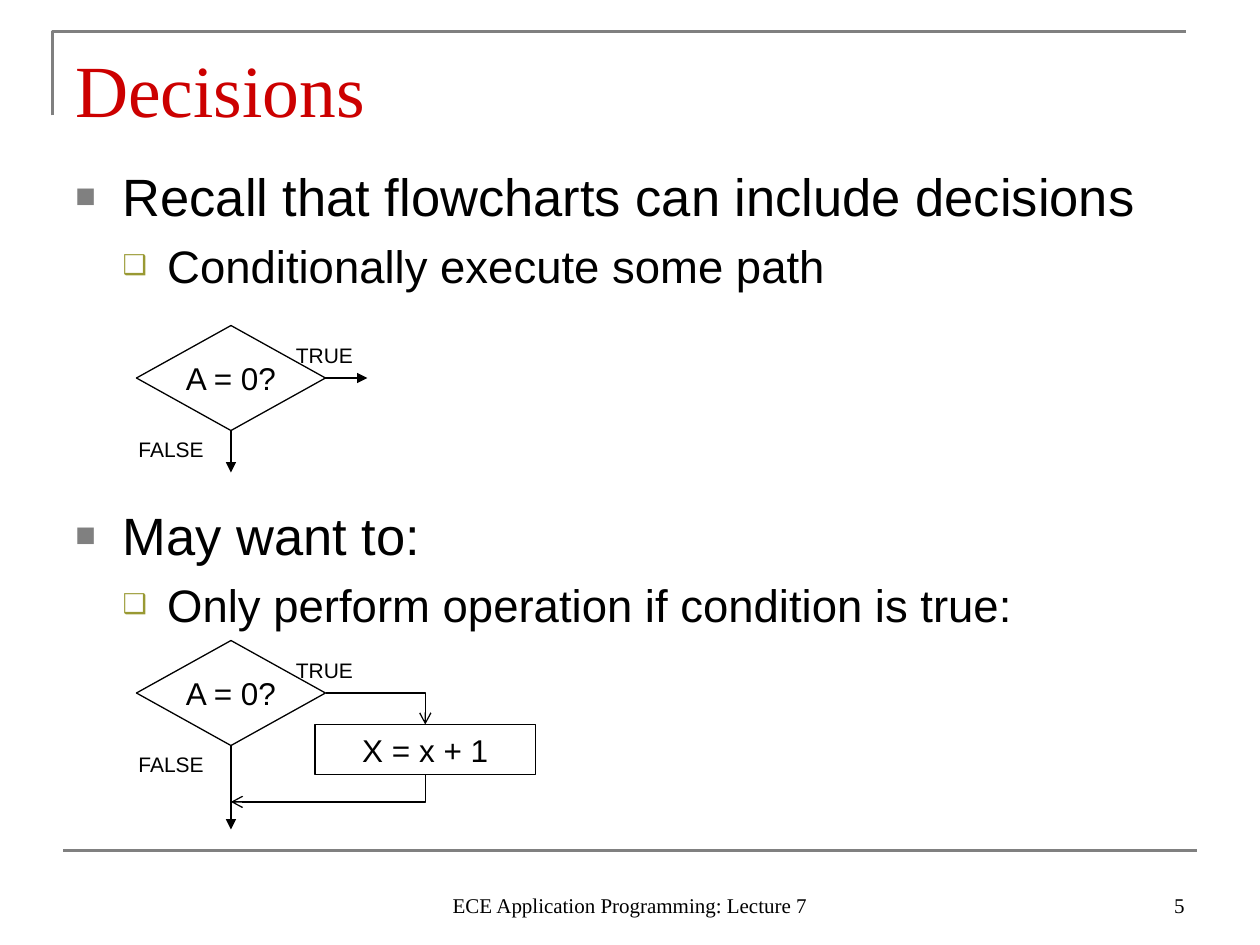
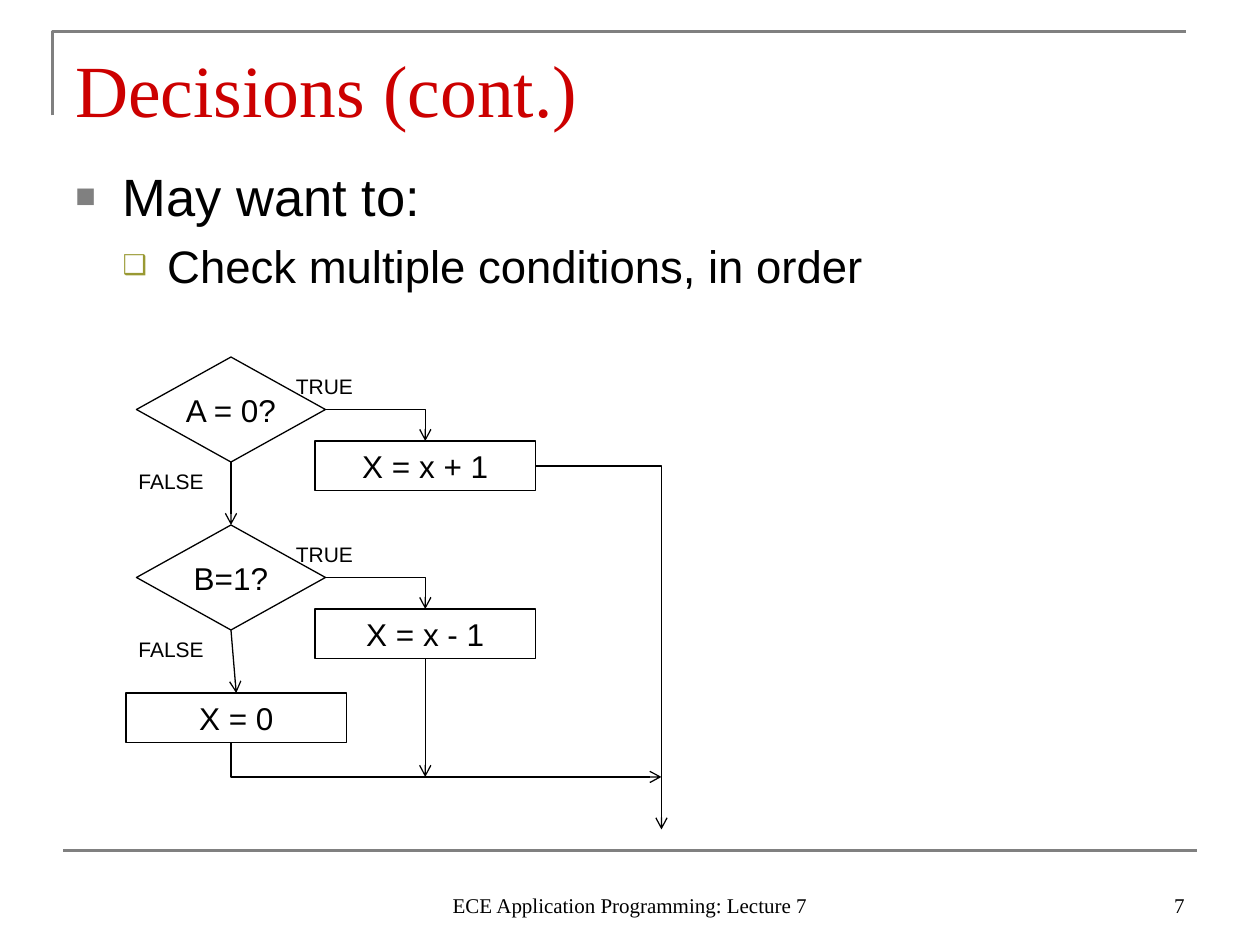
from lxml import etree
from pptx import Presentation
from pptx.dml.color import RGBColor
from pptx.enum.shapes import MSO_CONNECTOR as LINK, MSO_SHAPE as SHAPE
from pptx.enum.text import MSO_ANCHOR as ANCHOR, PP_ALIGN as ALIGN
from pptx.oxml.ns import qn
from pptx.util import Emu, Pt

SCALE = 9525  # EMU per px, 96 px to the inch
BLACK = RGBColor(0x00, 0x00, 0x00)
GRAY = RGBColor(0x80, 0x80, 0x80)
RED = RGBColor(0xCC, 0x00, 0x00)
OLIVE = RGBColor(0x99, 0x99, 0x33)
SANS, SERIF = "Arial", "Times New Roman"
FOOTER = "ECE Application Programming: Lecture 7"

# Per outline level: text size, left indent, hanging indent, space before, bullet
LEVELS = [
    (30, 36, 36, 7.5, "■", GRAY, 65),
    (26, 70, 34, 6.5, "❑", OLIVE, 60),
]
TOP, LEFT, BOTTOM, RIGHT = range(4)
DECISION_X, DECISION_W, DECISION_H = 104, 144, 80
DECISION_MID = DECISION_X + DECISION_W // 2
PROCESS_W, PROCESS_H = 168, 38
BRANCH_X = 240
BRANCH_MID = BRANCH_X + PROCESS_W // 2


def px(length):
    return Emu(length * SCALE)


def style_text(para, size, font=SANS, color=BLACK):
    para.font.size = Pt(size)
    para.font.name = font
    para.font.color.rgb = color
    for span in para.runs:
        span.font.size = Pt(size)
        span.font.name = font
        span.font.color.rgb = color


def add_text(page, text, place, size, font=SANS, color=BLACK,
             align=ALIGN.LEFT, anchor=ANCHOR.TOP):
    frame = page.shapes.add_textbox(*map(px, place)).text_frame
    frame.word_wrap = True
    frame.vertical_anchor = anchor
    frame.text = text
    frame.paragraphs[0].alignment = align
    style_text(frame.paragraphs[0], size, font, color)


def add_bullet(para, hanging, left, mark, color, percent):
    props = para._p.get_or_add_pPr()
    props.set("marL", str(px(left)))
    props.set("indent", str(-px(hanging)))
    bullet_color = etree.SubElement(props, qn("a:buClr"))
    etree.SubElement(bullet_color, qn("a:srgbClr"), val=str(color))
    etree.SubElement(props, qn("a:buSzPct"), val=str(percent * 1000))
    etree.SubElement(props, qn("a:buFont"), typeface=SANS)
    etree.SubElement(props, qn("a:buChar"), char=mark)


def add_outline(page, items):
    """Bulleted body; each item is (level, text, extra points of space above)."""
    frame = page.shapes.add_textbox(px(48), px(120), px(864), px(523)).text_frame
    frame.word_wrap = True
    for index, (level, text, gap) in enumerate(items):
        size, left, hanging, space, mark, color, percent = LEVELS[level]
        para = frame.add_paragraph() if index else frame.paragraphs[0]
        para.text = text
        para.level = level
        para.space_before = Pt(space + gap if index else 0)
        add_bullet(para, hanging, left, mark, color, percent)
        style_text(para, size)


def style_line(line, color=BLACK, width=0.75):
    line.color.rgb = color
    line.width = Pt(width)


def add_line(page, start, end, kind=LINK.STRAIGHT, color=BLACK, width=0.75,
             head=None, source=None, target=None):
    """Connector; source and target are (shape, side) pairs to join."""
    line = page.shapes.add_connector(kind, *map(px, (*start, *end)))
    if source:
        line.begin_connect(*source)
    if target:
        line.end_connect(*target)
    style_line(line.line, color, width)
    if head:
        etree.SubElement(line.line._get_or_add_ln(), qn("a:tailEnd"), type=head)
    etree.SubElement(line._element.spPr, qn("a:effectLst"))
    return line


def add_across_then_down(page, start, end, **joins):
    line = add_line(page, start, end, LINK.ELBOW, head="arrow", **joins)
    line._element.spPr.find(qn("a:prstGeom")).set("prst", "bentConnector2")


def add_down_then_across(page, start, end):
    line = add_line(page, start, end, LINK.ELBOW, head="arrow")
    guides = line._element.spPr.find(qn("a:prstGeom")).find(qn("a:avLst"))
    etree.SubElement(guides, qn("a:gd"), name="adj1", fmla="val 0")


def add_node(page, kind, text, place):
    node = page.shapes.add_shape(kind, *map(px, place))
    node.shadow.inherit = False
    node.fill.background()
    style_line(node.line)
    frame = node.text_frame
    frame.word_wrap = kind == SHAPE.RECTANGLE
    frame.vertical_anchor = ANCHOR.MIDDLE
    frame.text = text
    frame.paragraphs[0].alignment = ALIGN.CENTER
    style_text(frame.paragraphs[0], 18)
    return node


def add_decision(page, text, top):
    """Diamond with its TRUE and FALSE labels."""
    node = add_node(page, SHAPE.FLOWCHART_DECISION, text,
                    (DECISION_X, top, DECISION_W, DECISION_H))
    add_text(page, "TRUE", (216, top + 8, 64, 29), 12)
    add_text(page, "FALSE", (96, top + DECISION_H, 72, 29), 12)
    return node


def add_process(page, text, left, top):
    return add_node(page, SHAPE.RECTANGLE, text, (left, top, PROCESS_W, PROCESS_H))


def add_branch(page, question, action, top):
    """Decision whose TRUE side leads to a process box."""
    decision = add_decision(page, question, top)
    process = add_process(page, action, BRANCH_X, top + 64)
    add_across_then_down(page, (DECISION_X + DECISION_W, top + 40),
                         (BRANCH_MID, top + 64),
                         source=(decision, RIGHT), target=(process, TOP))
    return decision, process


def add_page(deck, title, number):
    page = deck.slides.add_slide(deck.slide_layouts[6])
    builder = page.shapes.build_freeform(px(40), px(88), scale=1.0)
    builder.add_line_segments([(px(40), px(24)), (px(904), px(24))], close=False)
    corner = builder.convert_to_shape()
    corner.shadow.inherit = False
    corner.fill.background()
    style_line(corner.line, GRAY, 1.5)
    add_line(page, (48, 648), (912, 648), color=GRAY, width=1.5)
    add_text(page, title, (48, 29, 864, 75), 42, SERIF, RED)
    add_text(page, FOOTER, (328, 656, 304, 48), 12, SERIF,
             align=ALIGN.CENTER, anchor=ANCHOR.BOTTOM)
    add_text(page, str(number), (688, 656, 224, 48), 12, SERIF,
             align=ALIGN.RIGHT, anchor=ANCHOR.BOTTOM)
    return page


def build_single_decision(deck):
    page = add_page(deck, "Decisions", 5)
    add_outline(page, [
        (0, "Recall that flowcharts can include decisions", 0),
        (1, "Conditionally execute some path", 0),
        (0, "May want to:", 112.5),
        (1, "Only perform operation if condition is true:", 0),
    ])
    plain = add_decision(page, "A = 0?", 248)
    add_line(page, (248, 288), (280, 288), head="triangle", source=(plain, RIGHT))
    add_line(page, (DECISION_MID, 328), (DECISION_MID, 360), head="triangle",
             source=(plain, BOTTOM))

    decision, _ = add_branch(page, "A = 0?", "X = x + 1", 488)
    add_line(page, (DECISION_MID, 568), (DECISION_MID, 632), head="triangle",
             source=(decision, BOTTOM))
    add_down_then_across(page, (BRANCH_MID, 590), (DECISION_MID, 611))


def build_chained_decisions(deck):
    page = add_page(deck, "Decisions (cont.)", 7)
    add_outline(page, [
        (0, "May want to:", 0),
        (1, "Check multiple conditions, in order", 0),
    ])
    exit_x, merge_y = 504, 592
    first, increment = add_branch(page, "A = 0?", "X = x + 1", 272)
    second, decrement = add_branch(page, "B=1?", "X = x - 1", 400)
    reset = add_process(page, "X = 0", 96, 528)
    add_line(page, (DECISION_MID, 352), (DECISION_MID, 400), head="arrow",
             source=(first, BOTTOM), target=(second, TOP))
    add_line(page, (DECISION_MID, 480), (180, 528), head="arrow",
             source=(second, BOTTOM), target=(reset, TOP))
    add_across_then_down(page, (408, 355), (exit_x, 632), source=(increment, RIGHT))
    add_line(page, (BRANCH_MID, 502), (BRANCH_MID, merge_y), head="arrow",
             source=(decrement, BOTTOM))
    add_down_then_across(page, (DECISION_MID, 566), (exit_x, merge_y))


def main():
    deck = Presentation()
    deck.slide_width, deck.slide_height = px(960), px(720)
    build_single_decision(deck)
    build_chained_decisions(deck)
    deck.save("out.pptx")


if __name__ == "__main__":
    main()
